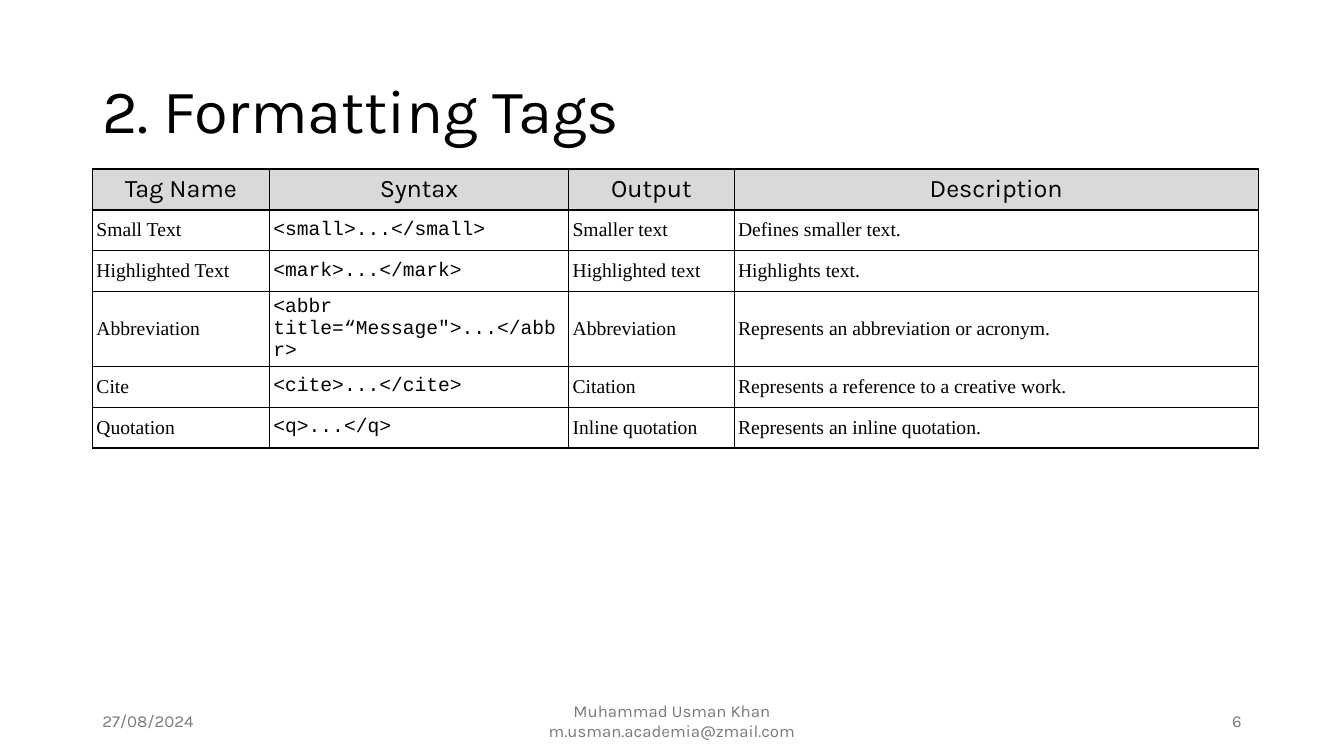
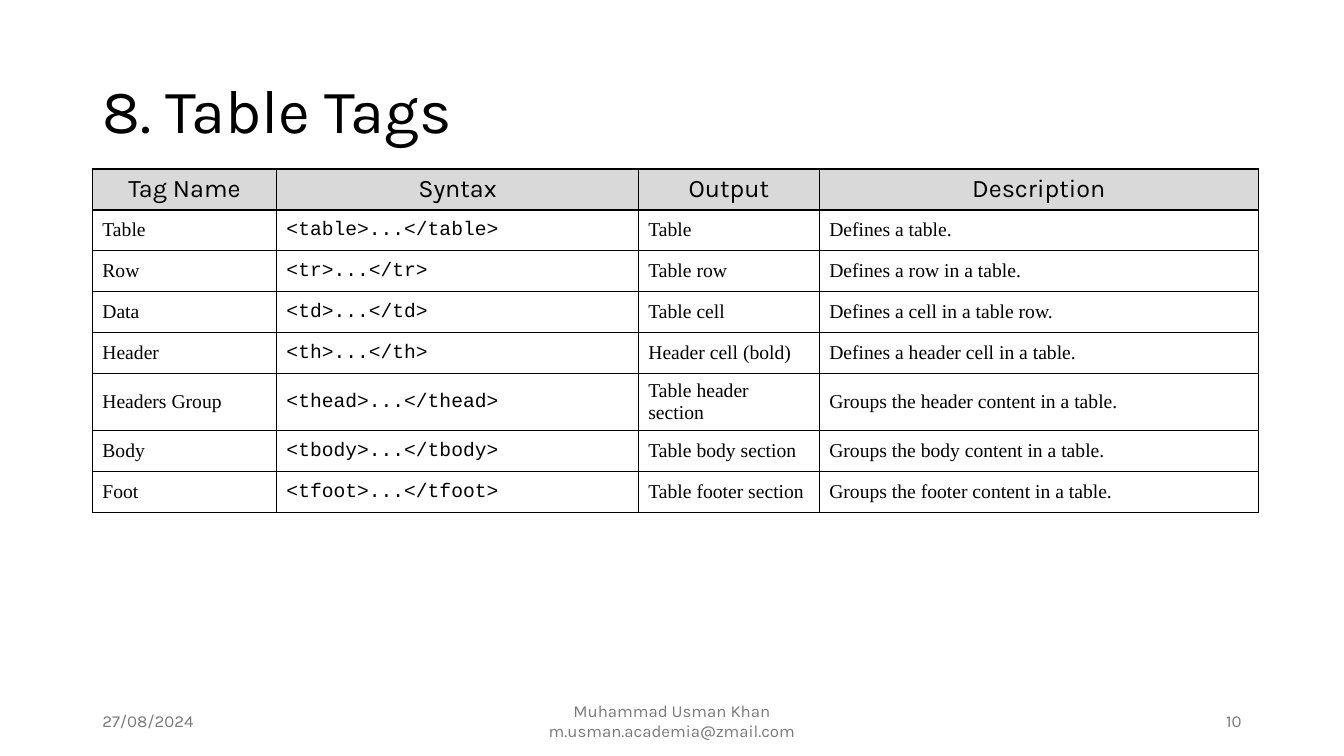
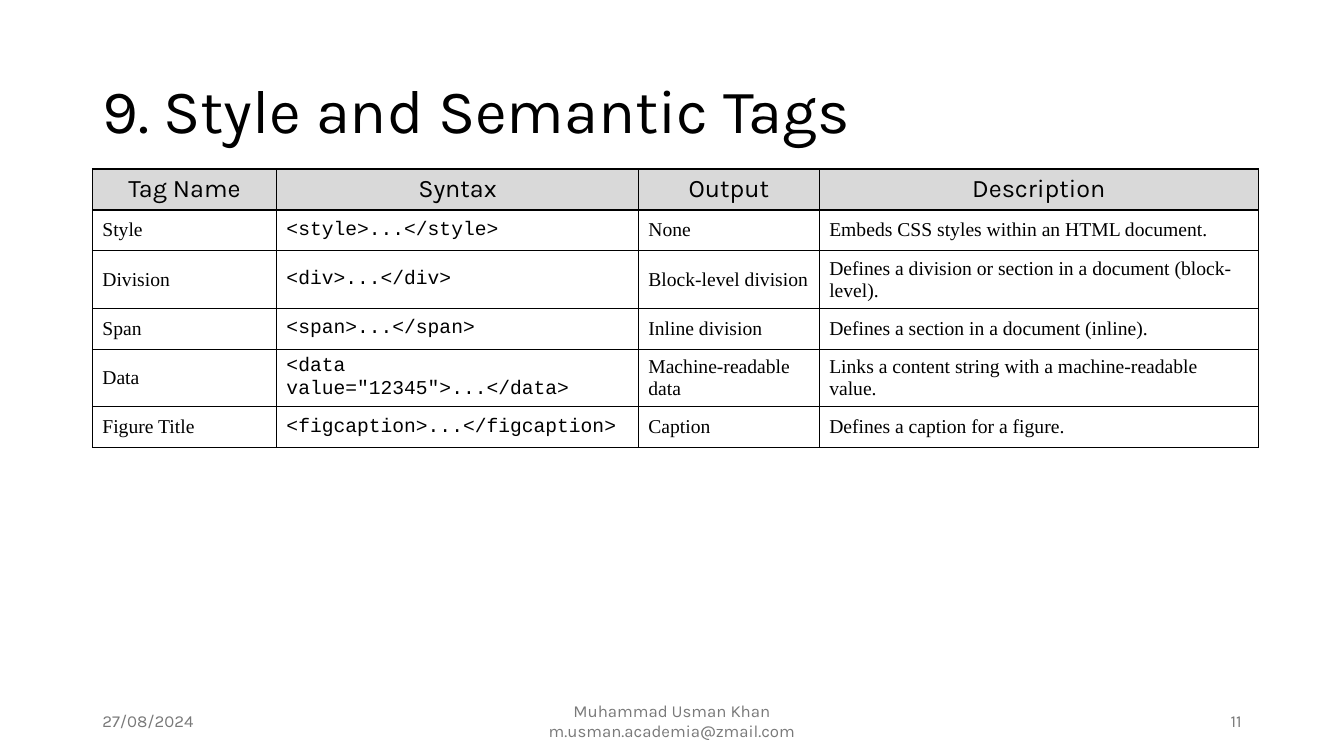
from collections import namedtuple

from lxml.etree import SubElement
from pptx import Presentation
from pptx.dml.color import RGBColor
from pptx.enum.text import MSO_ANCHOR, PP_ALIGN
from pptx.oxml.ns import qn
from pptx.util import Cm, Pt

Box = namedtuple("Box", "left top width height")

# Shared colours and text formats
BLACK, GREY, HEADER_FILL = "000000", "797979", "D9D9D9"
TITLE_FORMAT = {"name": "Karla", "size": Pt(44)}
HEADER_FORMAT = {"name": "Karla", "size": Pt(18)}
FOOTER_FORMAT = {"name": "Karla", "size": Pt(12)}
BODY_FORMAT = {"name": "Times New Roman", "size": Pt(14)}
CODE_FORMAT = {"name": "Courier New", "size": Pt(14)}

# Shared layout, in centimetres
TITLE_BOX = Box(2.33, 1.02, 29.21, 3.68)
TABLE_BOX = Box(2.33, 4.26, 29.38, 1.03)
FOOTER_BOX = Box(2.33, 17.65, 29.21, 1.02)
ROW_HEIGHT = 1.03
WIDE_COLUMNS = (4.64, 9.12, 4.56, 11.06)
WIDE_MARGINS = (0.25, 0.13)

HEADINGS = ("Tag Name", "Syntax", "Output", "Description")
DATE = "27/08/2024"
AUTHOR = ("Muhammad Usman Khan", "m.usman.academia@zmail.com")

SLIDES = (
    {
        "title": "2. Formatting Tags",
        "number": "6",
        "columns": (4.46, 7.54, 4.17, 13.21),
        "margins": (0.1, 0.05),
        "rows": (
            ("Small Text", "<small>...</small>", "Smaller text", "Defines smaller text."),
            ("Highlighted Text", "<mark>...</mark>", "Highlighted text", "Highlights text."),
            ("Abbreviation", '<abbr title=“Message">...</abbr>', "Abbreviation",
             "Represents an abbreviation or acronym."),
            ("Cite", "<cite>...</cite>", "Citation",
             "Represents a reference to a creative work."),
            ("Quotation", "<q>...</q>", "Inline quotation",
             "Represents an inline quotation."),
        ),
    },
    {
        "title": "8. Table Tags",
        "number": "10",
        "columns": WIDE_COLUMNS,
        "margins": WIDE_MARGINS,
        "rows": (
            ("Table", "<table>...</table>", "Table", "Defines a table."),
            ("Row", "<tr>...</tr>", "Table row", "Defines a row in a table."),
            ("Data", "<td>...</td>", "Table cell", "Defines a cell in a table row."),
            ("Header", "<th>...</th>", "Header cell (bold)",
             "Defines a header cell in a table."),
            ("Headers Group", "<thead>...</thead>", "Table header section",
             "Groups the header content in a table."),
            ("Body", "<tbody>...</tbody>", "Table body section",
             "Groups the body content in a table."),
            ("Foot", "<tfoot>...</tfoot>", "Table footer section",
             "Groups the footer content in a table."),
        ),
    },
    {
        "title": "9. Style and Semantic Tags",
        "number": "11",
        "columns": WIDE_COLUMNS,
        "margins": WIDE_MARGINS,
        "rows": (
            ("Style", "<style>...</style>", "None",
             "Embeds CSS styles within an HTML document."),
            ("Division", "<div>...</div>", "Block-level division",
             "Defines a division or section in a document (block-level)."),
            ("Span", "<span>...</span>", "Inline division",
             "Defines a section in a document (inline)."),
            ("Data", '<data value="12345">...</data>', "Machine-readable data",
             "Links a content string with a machine-readable value."),
            ("Figure Title", "<figcaption>...</figcaption>", "Caption",
             "Defines a caption for a figure."),
        ),
    },
)


def paint(target, colour):
    """Give a fill a solid colour."""
    target.solid()
    target.fore_color.rgb = RGBColor.from_string(colour)


def write(frame, lines, text_format, colour=BLACK, align=PP_ALIGN.LEFT, spacing=1.0):
    """Write one paragraph per line into a text frame."""
    for index, line in enumerate(lines):
        para = frame.paragraphs[0] if index == 0 else frame.add_paragraph()
        para.alignment, para.line_spacing = align, spacing
        span = para.add_run()
        span.text = line
        for name, value in text_format.items():
            setattr(span.font, name, value)
        paint(span.font.fill, colour)


def add_text(page, box, lines, text_format, **options):
    frame = page.shapes.add_textbox(*map(Cm, box)).text_frame
    frame.word_wrap = True
    frame.vertical_anchor = MSO_ANCHOR.MIDDLE
    write(frame, lines, text_format, **options)


def add_borders(cell):
    """Draw a 1 pt line on all four sides of a cell."""
    properties = cell._tc.get_or_add_tcPr()
    for side in ("lnL", "lnR", "lnT", "lnB"):
        line = SubElement(properties, qn(f"a:{side}"), w=str(Pt(1)))
        fill = SubElement(line, qn("a:solidFill"))
        SubElement(fill, qn("a:srgbClr"), val=BLACK)


def add_tag_table(page, box, columns, margins, rows):
    table = page.shapes.add_table(
        len(rows) + 1, len(columns), Cm(box.left), Cm(box.top),
        Cm(box.width), Cm(ROW_HEIGHT * (len(rows) + 1))).table
    table.first_row = table.horz_banding = False
    for column, width in zip(table.columns, columns):
        column.width = Cm(width)
    for row, texts in zip(table.rows, (HEADINGS, *rows)):
        row.height = Cm(ROW_HEIGHT)
        for cell, heading, text in zip(row.cells, HEADINGS, texts):
            cell.vertical_anchor = MSO_ANCHOR.MIDDLE
            add_borders(cell)
            if texts is HEADINGS:
                paint(cell.fill, HEADER_FILL)
                write(cell.text_frame, [text], HEADER_FORMAT, align=PP_ALIGN.CENTER)
                continue
            cell.fill.background()
            cell.margin_left = cell.margin_right = Cm(margins[0])
            cell.margin_top = cell.margin_bottom = Cm(margins[1])
            text_format = CODE_FORMAT if heading == "Syntax" else BODY_FORMAT
            write(cell.text_frame, [text], text_format)


def add_footer(page, box, number):
    """Place date, author and slide number at the left, middle and right."""
    side, middle = 7.62, 11.43
    parts = (
        (0, side, [DATE], PP_ALIGN.LEFT),
        ((box.width - middle) / 2, middle, AUTHOR, PP_ALIGN.CENTER),
        (box.width - side, side, [number], PP_ALIGN.RIGHT),
    )
    for offset, width, lines, align in parts:
        part_box = Box(box.left + offset, box.top, width, box.height)
        add_text(page, part_box, lines, FOOTER_FORMAT, colour=GREY, align=align)


def add_tag_slide(deck, content):
    page = deck.slides.add_slide(deck.slide_layouts[6])
    add_text(page, TITLE_BOX, [content["title"]], TITLE_FORMAT, spacing=0.9)
    add_tag_table(page, TABLE_BOX, content["columns"], content["margins"], content["rows"])
    add_footer(page, FOOTER_BOX, content["number"])


def main():
    deck = Presentation()
    deck.slide_width, deck.slide_height = Cm(33.87), Cm(19.05)
    for content in SLIDES:
        add_tag_slide(deck, content)
    deck.save("out.pptx")


if __name__ == "__main__":
    main()
